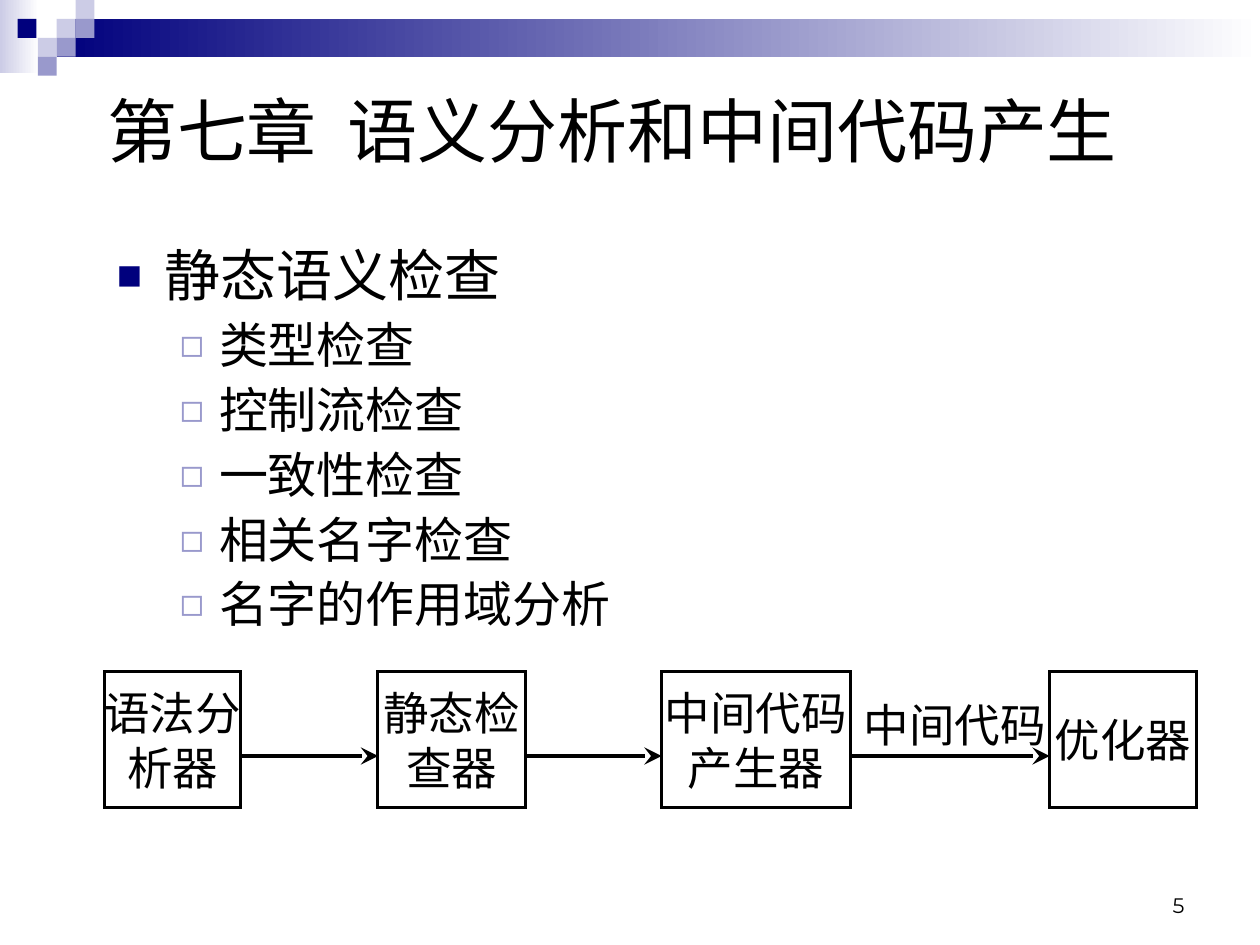
from lxml import etree
from pptx import Presentation
from pptx.dml.color import RGBColor
from pptx.enum.shapes import MSO_CONNECTOR as Connector, MSO_SHAPE as Shape
from pptx.enum.text import MSO_ANCHOR as Anchor, MSO_AUTO_SIZE as AutoSize, PP_ALIGN as Align
from pptx.oxml.ns import qn
from pptx.util import Inches, Pt

NAVY, LAVENDER, PALE = "00007D", "9999CC", "CCCCE6"
BLACK, WHITE = "000000", "FFFFFF"
TILE = 0.15
CHECKS = ["类型检查", "控制流检查", "一致性检查", "相关名字检查", "名字的作用域分析"]


def color(value):
    return RGBColor.from_string(value)


def add_child(parent, tag, **attributes):
    return etree.SubElement(parent, qn(tag), attributes)


def add_span(para, text, size, font):
    span = para.add_run()
    span.text = text
    span.font.size = Pt(size)
    span.font.name = font
    span.font.color.rgb = color(BLACK)


def add_rect(page, left, top, width, height):
    rect = page.shapes.add_shape(
        Shape.RECTANGLE, Inches(left), Inches(top), Inches(width), Inches(height))
    rect.shadow.inherit = False
    return rect


def add_tile(page, left, top, fill):
    tile = add_rect(page, left, top, TILE, TILE)
    tile.fill.solid()
    tile.fill.fore_color.rgb = color(fill)
    tile.line.fill.background()


def add_gradient(page, left, top, width, height, start):
    band = add_rect(page, left, top, width, height)
    band.fill.gradient()
    band.fill.gradient_angle = 0
    for stop, value, position in zip(band.fill.gradient_stops, (start, WHITE), (0, 1)):
        stop.color.rgb = color(value)
        stop.position = position
    band.line.fill.background()


def add_header(page):
    add_gradient(page, 0, 0, 0.31, 0.58, PALE)
    add_gradient(page, 0.45, 0.15, 9.55, 0.3, NAVY)
    tiles = [(3, 1, PALE), (4, 0, PALE), (4, 1, LAVENDER), (2, 2, PALE),
             (0.93, 1, NAVY), (3, 2, LAVENDER), (2, 3, LAVENDER)]
    for column, row, fill in tiles:
        add_tile(page, column * TILE, row * TILE, fill)


def set_title(page):
    title = page.shapes.title
    title.left, title.top = Inches(0.75), Inches(0.52)
    title.width, title.height = Inches(8.43), Inches(1.02)
    frame = title.text_frame
    frame.auto_size = AutoSize.NONE
    frame.vertical_anchor = Anchor.MIDDLE
    para = frame.paragraphs[0]
    para.alignment = Align.LEFT
    tabs = add_child(para._p.get_or_add_pPr(), "a:tabLst")
    add_child(tabs, "a:tab", pos=str(Inches(1.91)), algn="l")
    add_span(para, "第七章\t语义分析和中间代码产生", 40, "Arial")


def add_text(page, left, top, width, height):
    box = page.shapes.add_textbox(Inches(left), Inches(top), Inches(width), Inches(height))
    box.text_frame.word_wrap = True
    return box.text_frame


def set_bullet(para, symbol, fill, percent, margin, hanging):
    properties = para._p.get_or_add_pPr()
    properties.set("marL", str(Inches(margin)))
    properties.set("indent", str(-Inches(hanging)))
    add_child(add_child(properties, "a:buClr"), "a:srgbClr", val=fill)
    add_child(properties, "a:buSzPct", val=str(percent * 1000))
    add_child(properties, "a:buFont", typeface="Arial")
    add_child(properties, "a:buChar", char=symbol)


def add_outline(page):
    frame = add_text(page, 0.83, 1.92, 8.58, 3.17)
    heading = frame.paragraphs[0]
    heading.line_spacing = 0.9
    set_bullet(heading, "■", NAVY, 75, 0.38, 0.38)
    add_span(heading, "静态语义检查", 32, "Arial")
    for check in CHECKS:
        para = frame.add_paragraph()
        para.level = 1
        para.line_spacing = 0.9
        para.space_before = Pt(6 if check == CHECKS[-1] else 7)
        set_bullet(para, "◻", LAVENDER, 80, 0.81, 0.31)
        add_span(para, check, 28, "Arial")


def fill_centered(frame, lines):
    frame.word_wrap = False
    frame.vertical_anchor = Anchor.MIDDLE
    for index, line in enumerate(lines):
        para = frame.add_paragraph() if index else frame.paragraphs[0]
        para.alignment = Align.CENTER
        add_span(para, line, 26, "Times New Roman")


def set_line(shape):
    shape.line.color.rgb = color(BLACK)
    shape.line.width = Pt(1.75)
    outline = shape._element.spPr.get_or_add_ln()
    add_child(outline, "a:miter", lim="800000")
    return outline


def add_stage(page, left, width, lines):
    stage = add_rect(page, left, 5.33, width, 1.08)
    stage.fill.background()
    set_line(stage)
    fill_centered(stage.text_frame, lines)


def add_arrow(page, start, end):
    arrow = page.shapes.add_connector(
        Connector.STRAIGHT, Inches(start), Inches(6), Inches(end), Inches(6))
    add_child(set_line(arrow), "a:tailEnd", type="stealth", w="lg", len="lg")
    add_child(arrow._element.spPr, "a:effectLst")


def add_arrow_label(page):
    frame = add_text(page, 6.78, 5.33, 1.6, 0.83)
    frame.margin_left = frame.margin_right = 0
    fill_centered(frame, ["中间代码"])


def add_pipeline(page):
    stages = [(0.83, 1.08, ["语法分", "析器"]), (3, 1.17, ["静态检", "查器"]),
              (5.25, 1.5, ["中间代码", "产生器"]), (8.33, 1.17, ["优化器"])]
    for left, width, lines in stages:
        add_stage(page, left, width, lines)
    for (left, width, _), (following, _, _) in zip(stages, stages[1:]):
        add_arrow(page, left + width, following)
    add_arrow_label(page)


def add_page_number(page):
    frame = add_text(page, 7.17, 6.83, 2.33, 0.5)
    frame.vertical_anchor = Anchor.BOTTOM
    para = frame.paragraphs[0]
    para.alignment = Align.RIGHT
    add_span(para, "5", 12, "Montserrat")


def main():
    deck = Presentation()
    deck.slide_width, deck.slide_height = Inches(10), Inches(7.5)
    page = deck.slides.add_slide(deck.slide_layouts[5])
    add_header(page)
    add_page_number(page)
    set_title(page)
    add_outline(page)
    add_pipeline(page)
    deck.save("out.pptx")


if __name__ == "__main__":
    main()
